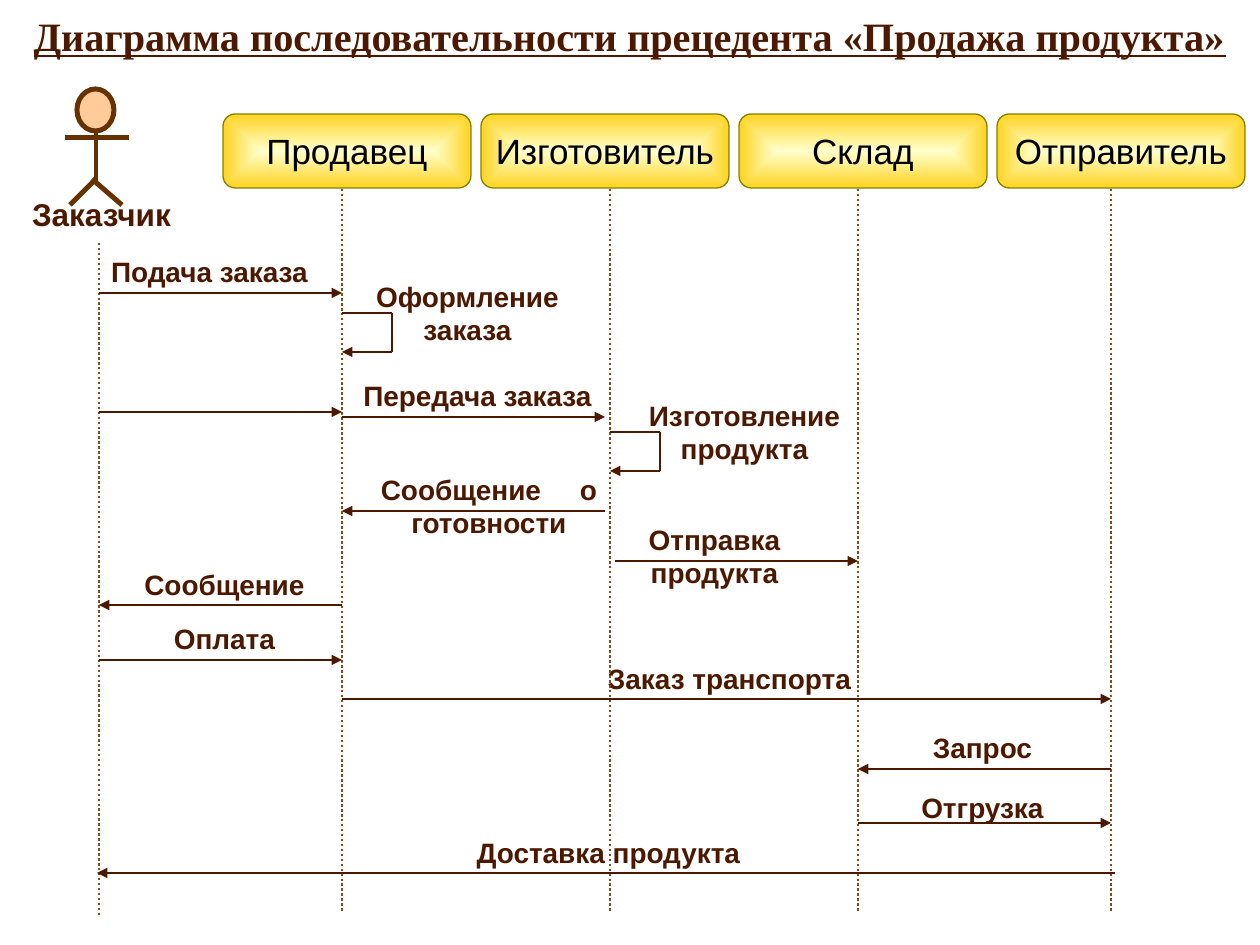
from pptx import Presentation
from pptx.dml.color import RGBColor
from pptx.enum.dml import MSO_LINE
from pptx.enum.shapes import MSO_CONNECTOR, MSO_SHAPE
from pptx.enum.text import MSO_ANCHOR, PP_ALIGN
from pptx.oxml import parse_xml
from pptx.oxml.ns import nsdecls, qn
from pptx.util import Pt

PX = 914400 / 126
BROWN = RGBColor(0x4C, 0x19, 0x00)
LIFELINE = RGBColor(0x80, 0x4C, 0x19)
ACTOR = RGBColor(0x66, 0x33, 0x00)
SKIN = RGBColor(0xFF, 0xCC, 0x99)
CREAM = RGBColor(0xFF, 0xFF, 0xCC)
GOLD = RGBColor(0xFF, 0xD3, 0x20)
OLIVE = RGBColor(0x80, 0x80, 0x00)
WHITE = RGBColor(0xFF, 0xFF, 0xFF)
BLACK = RGBColor(0x00, 0x00, 0x00)

prs = Presentation()
prs.slide_width, prs.slide_height = round(1260 * PX), round(945 * PX)
slide = prs.slides.add_slide(prs.slide_layouts[5])
shapes = slide.shapes


def add_line(x1, y1, x2, y2, color=BROWN, width=1.42, arrow=False):
    line = shapes.add_connector(
        MSO_CONNECTOR.STRAIGHT, *(round(v * PX) for v in (x1, y1, x2, y2)))
    line.line.color.rgb = color
    line.line.width = Pt(width)
    if arrow:
        line.line._get_or_add_ln().append(
            parse_xml(f'<a:tailEnd {nsdecls("a")} type="triangle"/>'))
    line._element.spPr.append(parse_xml(f'<a:effectLst {nsdecls("a")}/>'))
    return line


def format_text(frame, size, color, bold=True, font="Arial"):
    paragraph = frame.paragraphs[0]
    paragraph.alignment = PP_ALIGN.CENTER
    for run in paragraph.runs:
        run.font.size = Pt(size)
        run.font.name = font
        run.font.bold = bold
        run.font.color.rgb = color


title = shapes.title
title.left, title.top, title.width, title.height = (
    round(v * PX) for v in (0, 5, 1260, 62))
title.fill.solid()
title.fill.fore_color.rgb = WHITE
title.text_frame.text = "Диаграмма последовательности прецедента «Продажа продукта»"
title.text_frame.vertical_anchor = MSO_ANCHOR.TOP
format_text(title.text_frame, 23, BROWN, font="Times New Roman")
title.text_frame.paragraphs[0].runs[0].font.underline = True

for column, role in enumerate(["Продавец", "Изготовитель", "Склад", "Отправитель"]):
    header = shapes.add_shape(
        MSO_SHAPE.ROUNDED_RECTANGLE,
        *(round(v * PX) for v in (223 + 258 * column, 114, 248, 74)))
    header.shadow.inherit = False
    header.fill.gradient()
    for stop, color in zip(header.fill.gradient_stops, (CREAM, GOLD)):
        stop.color.rgb = color
    gradient = header._element.spPr.find(qn("a:gradFill"))
    gradient.replace(gradient.find(qn("a:lin")), parse_xml(
        f'<a:path {nsdecls("a")} path="rect">'
        '<a:fillToRect l="50000" t="50000" r="50000" b="50000"/></a:path>'))
    header.line.color.rgb = OLIVE
    header.line.width = Pt(0.75)
    header.text_frame.text = role
    header.text_frame.word_wrap = False
    header.text_frame.vertical_anchor = MSO_ANCHOR.MIDDLE
    format_text(header.text_frame, 20, BLACK, bold=False)

head = shapes.add_shape(MSO_SHAPE.OVAL, *(round(v * PX) for v in (77, 89, 37, 42)))
head.shadow.inherit = False
head.fill.solid()
head.fill.fore_color.rgb = SKIN
head.line.color.rgb = ACTOR
head.line.width = Pt(2.83)
for limb in [(65, 138, 129, 138), (96, 130, 96, 181),
             (70, 205, 96, 179), (122, 205, 92, 179)]:
    add_line(*limb, color=ACTOR, width=2.83)

labels = [
    ("Заказчик", -5, 189, 213, 50, 18),
    ("Передача заказа", 339, 372, 277, 47, 16),
    ("Оформление заказа", 329, 273, 277, 81, 16),
    ("Подача заказа", 71, 248, 277, 47, 16),
    ("Сообщение", 86, 561, 277, 47, 16),
    ("Оплата", 86, 615, 277, 47, 16),
    ("Сообщение о готовности", 368, 466, 242, 81, 16),
    ("Изготовление продукта", 606, 392, 277, 81, 16),
    ("Отправка продукта", 576, 516, 277, 81, 16),
    ("Заказ транспорта", 591, 655, 277, 47, 16),
    ("Запрос", 844, 724, 277, 47, 16),
    ("Отгрузка", 844, 784, 277, 47, 16),
    ("Доставка продукта", 418, 829, 381, 47, 16),
]
for wording, left, top, width, height, size in labels:
    label = shapes.add_textbox(*(round(v * PX) for v in (left, top, width, height)))
    label.text_frame.word_wrap = True
    if wording == "Сообщение о готовности":
        for part in ("Сообщение", " ", "о готовности"):
            label.text_frame.paragraphs[0].add_run().text = part
        wide_gap = label.text_frame.paragraphs[0].runs[1]
        wide_gap.font._element.set("spc", "1780")
    else:
        label.text_frame.text = wording
    format_text(label.text_frame, size, BROWN)

customer, seller, maker, store, sender = 99, 342, 610, 858, 1111
add_line(customer, 243, customer, 915, color=LIFELINE).line.dash_style = MSO_LINE.ROUND_DOT
for x in (seller, maker, store, sender):
    add_line(x, 189, x, 911, color=LIFELINE).line.dash_style = MSO_LINE.ROUND_DOT

messages = [
    (customer, seller, 293), (customer, seller, 412), (seller, 605, 417),
    (605, seller, 511), (615, store, 561), (seller, customer, 605),
    (customer, seller, 660), (seller, sender, 699), (sender, store, 769),
    (store, sender, 823), (1115, 97, 873),
]
for start, end, y in messages:
    add_line(start, y, end, y, arrow=True)

for x, y in [(seller, 313), (maker, 432)]:
    add_line(x, y, x + 50, y)
    add_line(x + 50, y, x + 50, y + 39)
    add_line(x + 50, y + 39, x, y + 39, arrow=True)

prs.save("out.pptx")
